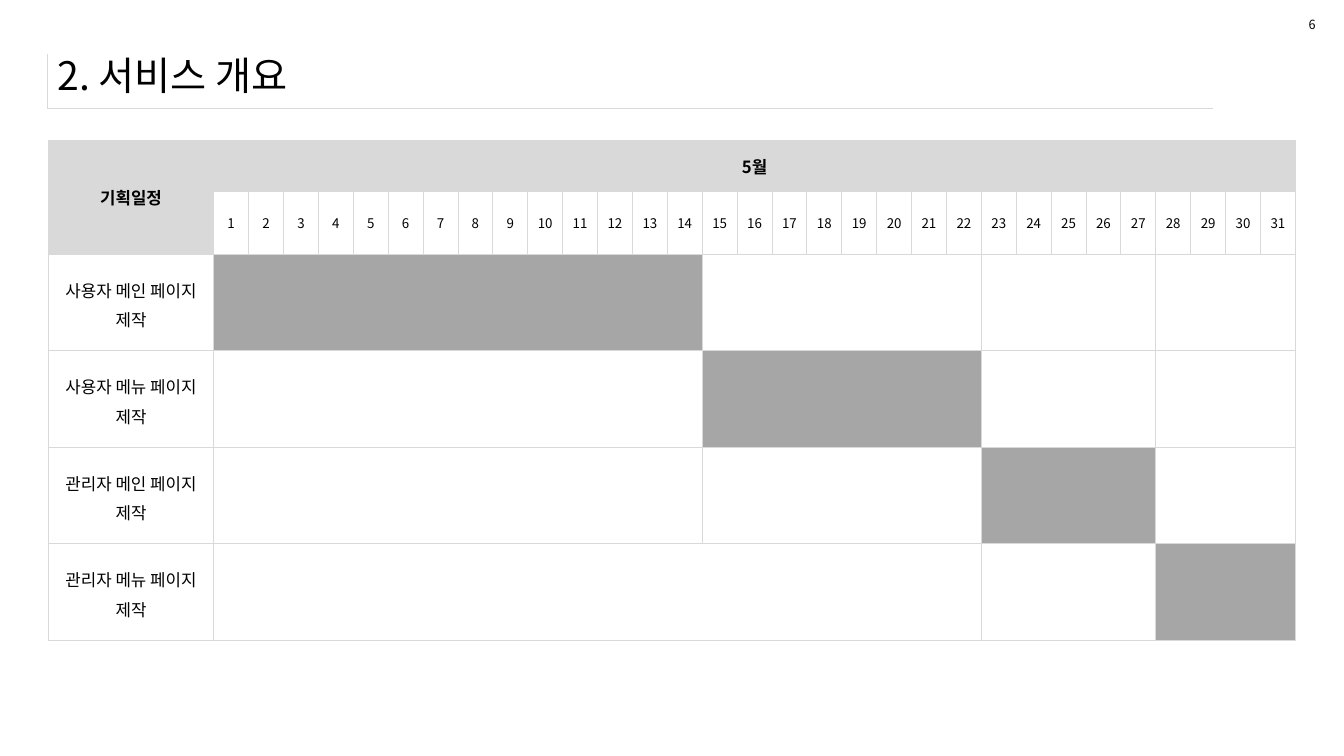
from pptx import Presentation
from pptx.dml.color import RGBColor
from pptx.enum.text import MSO_ANCHOR as ANCHOR, PP_ALIGN as ALIGN
from pptx.oxml.ns import qn
from pptx.util import Pt
from lxml.etree import SubElement

PX = 9144  # 100 px to the inch
BLACK = RGBColor(0x00, 0x00, 0x00)
WHITE = RGBColor(0xFF, 0xFF, 0xFF)
LIGHT = RGBColor(0xD9, 0xD9, 0xD9)
BAR = RGBColor(0xA6, 0xA6, 0xA6)
NOTO, ARIAL = "Noto Sans CJK KR", "Arial"
PLAIN_STYLE = "{2D5ABB26-0587-4C30-8999-92F81FD0307C}"

DAYS = 31
# task name, first day, last day
TASKS = [
    ("사용자 메인 페이지 제작", 1, 14),
    ("사용자 메뉴 페이지 제작", 15, 22),
    ("관리자 메인 페이지 제작", 23, 27),
    ("관리자 메뉴 페이지 제작", 28, 31),
]


def px(*lengths):
    return [round(n * PX) for n in lengths]


def write(tf, text, size, font=NOTO, bold=False, align=ALIGN.LEFT, spacing=None):
    p = tf.paragraphs[0]
    p.alignment = align
    if spacing:
        p.line_spacing = spacing
    r = p.add_run()
    r.text = text
    for name, value in {"size": Pt(size), "name": font, "bold": bold}.items():
        setattr(r.font, name, value)
    r.font.color.rgb = BLACK
    SubElement(r.font._element, qn("a:ea"), typeface=NOTO)


def add_text(slide, box, text, size, wrap, inset, anchor):
    tf = slide.shapes.add_textbox(*px(*box)).text_frame
    settings = {"word_wrap": wrap, "vertical_anchor": anchor,
                "margin_left": inset * PX, "margin_right": inset * PX}
    for name, value in settings.items():
        setattr(tf, name, value)
    write(tf, text, size)


def add_plain_table(slide, box, rows, cols):
    table = slide.shapes.add_table(rows, cols, *px(*box)).table
    table.first_row = table.horz_banding = False
    table._tbl.tblPr.find(qn("a:tableStyleId")).text = PLAIN_STYLE
    return table


def format_cell(cell, fill, sides="LRTB", width=0.75):
    """Draw the named sides in light grey, then fill the cell."""
    tc_pr = cell._tc.get_or_add_tcPr()
    for side in "LRTB":
        if side in sides:
            ln = SubElement(tc_pr, qn(f"a:ln{side}"), w=str(Pt(width)))
            solid = SubElement(ln, qn("a:solidFill"))
            SubElement(solid, qn("a:srgbClr"), val=str(LIGHT))
        else:
            ln = SubElement(tc_pr, qn(f"a:ln{side}"), w="0")
            SubElement(ln, qn("a:noFill"))
    if fill is None:
        cell.fill.background()
    else:
        cell.fill.solid()
        cell.fill.fore_color.rgb = fill
    cell.vertical_anchor = ANCHOR.MIDDLE


def add_heading(slide, box, text):
    x, y, w, h = box
    frame = add_plain_table(slide, box, 1, 1)
    format_cell(frame.cell(0, 0), None, "LB", 0.25)
    add_text(slide, (x + 3, y - 13, w + 93, h + 14), text, 28, True, 7, ANCHOR.MIDDLE)


def fill_header(table):
    for col in range(DAYS + 1):
        format_cell(table.cell(0, col), LIGHT)
        cell = table.cell(1, col)
        format_cell(cell, WHITE if col else LIGHT)
        if col:
            cell.margin_left = cell.margin_right = 0
            write(cell.text_frame, str(col), 9.5, align=ALIGN.CENTER)
    table.cell(0, 0).merge(table.cell(1, 0))
    table.cell(0, 1).merge(table.cell(0, DAYS))
    for col, text in enumerate(("기획일정", "5월")):
        write(table.cell(0, col).text_frame, text, 12, bold=True, align=ALIGN.CENTER)


def fill_task(table, row, task):
    name, first, last = task
    label = table.cell(row, 0)
    format_cell(label, None)
    write(label.text_frame, name, 12, ARIAL, align=ALIGN.CENTER, spacing=1.2)

    starts = {start for _, start, _ in TASKS}
    if first == TASKS[-1][1]:
        starts.discard(TASKS[1][1])  # the last row is open up to day 22
    for day in range(1, DAYS + 1):
        cell = table.cell(row, day)
        cell.margin_left = cell.margin_right = 0
        left = "L" if day in starts else ""
        right = "R" if day == DAYS or day + 1 in starts else ""
        format_cell(cell, BAR if first <= day <= last else WHITE, left + right + "TB")


def add_schedule(slide, box, label_w, month_h, days_h):
    x, y, w, h = box
    table = add_plain_table(slide, box, len(TASKS) + 2, DAYS + 1)
    day_w = (w - label_w) / DAYS
    task_h = (h - month_h - days_h) / len(TASKS)
    for col, width in zip(table.columns, px(label_w, *[day_w] * DAYS)):
        col.width = width
    for row, height in zip(table.rows, px(month_h, days_h, *[task_h] * len(TASKS))):
        row.height = height
    fill_header(table)
    for row, task in enumerate(TASKS, 2):
        fill_task(table, row, task)


def main():
    prs = Presentation()
    prs.slide_width, prs.slide_height = px(1333, 750)
    slide = prs.slides.add_slide(prs.slide_layouts[6])
    add_heading(slide, (47, 54, 1156, 53), "2. 서비스 개요")
    add_schedule(slide, (48, 139, 1238, 496), 164, 51, 62)
    add_text(slide, (1288, 12, 27, 25), "6", 9, False, 10, ANCHOR.TOP)
    prs.save("out.pptx")


if __name__ == "__main__":
    main()
